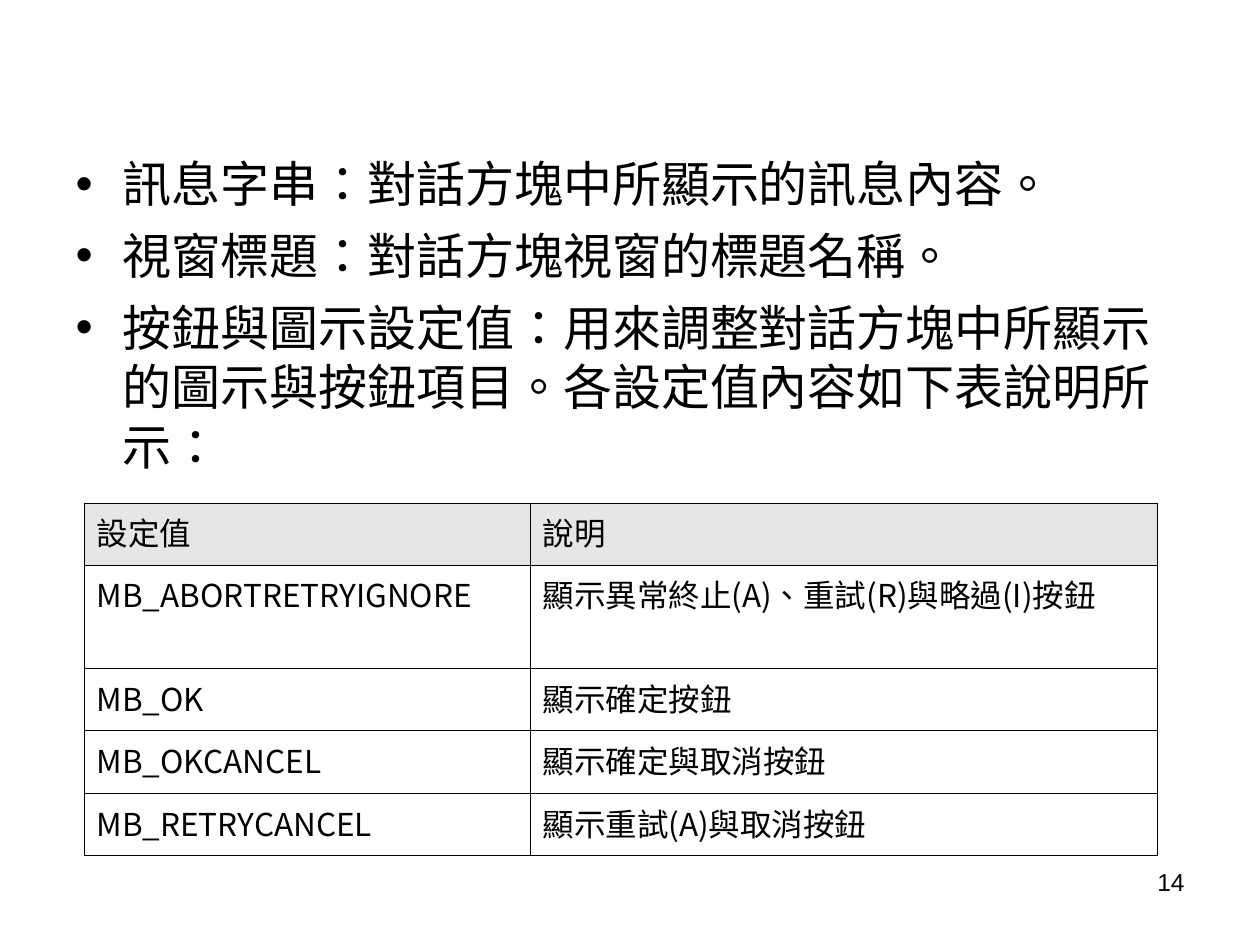
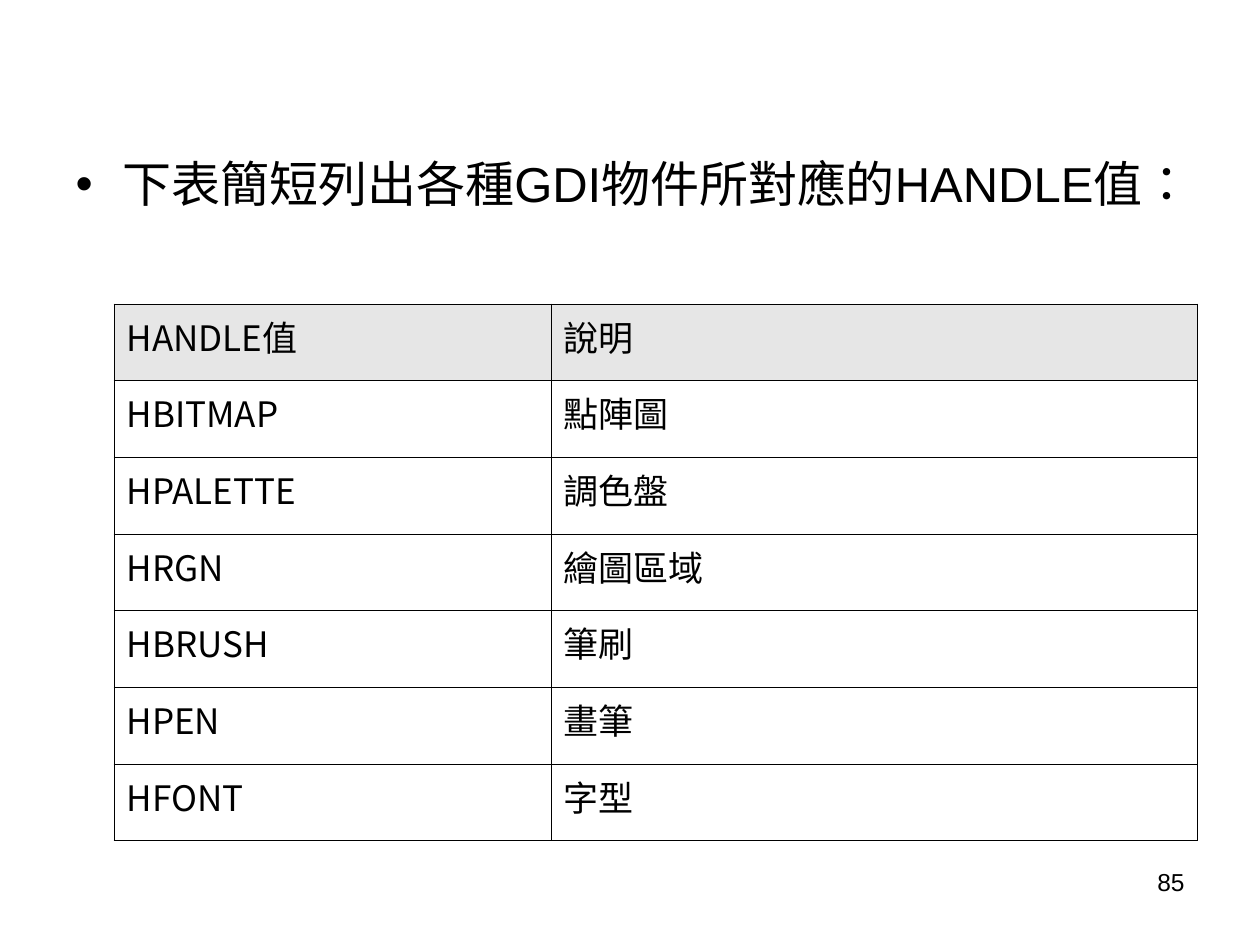
"""Build two slides, each with a bullet list above a table of settings."""
from lxml import etree
from pptx import Presentation
from pptx.dml.color import RGBColor
from pptx.enum.lang import MSO_LANGUAGE_ID
from pptx.enum.text import MSO_AUTO_SIZE, PP_ALIGN
from pptx.oxml.ns import qn
from pptx.util import Emu, Pt

SLIDES = [
    {
        "page": "14",
        "body": (63, 147, 1143, 693),
        "list": [
            "訊息字串：對話方塊中所顯示的訊息內容。",
            "視窗標題：對話方塊視窗的標題名稱。",
            "按鈕與圖示設定值：用來調整對話方塊中所顯示的圖示與按鈕項目。各設定值內容如下表說明所示：",
        ],
        "at": (84, 503),
        "cols": [446, 627],
        "rows": [62, 88, 62, 63, 62],
        "size": 18,
        "cells": [
            ("設定值", "說明"),
            ("MB_ABORTRETRYIGNORE", "顯示異常終止(A)、重試(R)與略過(I)按鈕"),
            ("MB_OK", "顯示確定按鈕"),
            ("MB_OKCANCEL", "顯示確定與取消按鈕"),
            ("MB_RETRYCANCEL", "顯示重試(A)與取消按鈕"),
        ],
    },
    {
        "page": "85",
        "body": (63, 147, 1123, 693),
        "list": ["下表簡短列出各種GDI物件所對應的HANDLE值："],
        "at": (114, 304),
        "cols": [437, 646],
        "rows": [537 / 7] * 7,
        "size": 20,
        "cells": [
            ("HANDLE值", "說明"),
            ("HBITMAP", "點陣圖"),
            ("HPALETTE", "調色盤"),
            ("HRGN", "繪圖區域"),
            ("HBRUSH", "筆刷"),
            ("HPEN", "畫筆"),
            ("HFONT", "字型"),
        ],
    },
]
PAGE = (903, 861, 294, 66)
WIDE, HIGH = 1260, 945
HANG = 47
SANS, CJK = "Arial", "Noto Sans CJK SC"
BLACK = RGBColor(0, 0, 0)
GREY = RGBColor(0xE6, 0xE6, 0xE6)
RIGHT = PP_ALIGN.RIGHT
FIXED = MSO_AUTO_SIZE.NONE
LANG = MSO_LANGUAGE_ID.TRADITIONAL_CHINESE
SIDES = ("a:lnL", "a:lnR", "a:lnT", "a:lnB")
RULE = Pt(0.45)


def px(num):
    return Emu(round(num * 914400 / 126))


def style(para, name, size):
    font = para.font
    font.name, font.size = name, Pt(size)
    font.color.rgb = BLACK
    font.language_id = LANG
    latin = para._p.pPr.find(qn("a:defRPr")).find(qn("a:latin"))
    east = etree.Element(qn("a:ea"), typeface=name)
    latin.addnext(east)


def border(cell):
    props = cell._tc.get_or_add_tcPr()
    for spot, side in enumerate(SIDES):
        line = etree.Element(qn(side), w=str(int(RULE)))
        fill = etree.SubElement(line, qn("a:solidFill"))
        etree.SubElement(fill, qn("a:srgbClr"), val=str(BLACK))
        props.insert(spot, line)


def add_list(slide, box, lines):
    body = slide.placeholders[1]
    body.left, body.top, body.width, body.height = map(px, box)
    frame = body.text_frame
    frame.auto_size = FIXED
    frame.text = "\n".join(lines)
    for num, para in enumerate(frame.paragraphs):
        para.space_before = Pt(7 if num else 0)
        para.line_spacing = Pt(34)
        style(para, SANS, 28)


def add_grid(slide, spec):
    cols, rows = spec["cols"], spec["rows"]
    size = (sum(cols), sum(rows))
    frame = slide.shapes.add_table(len(rows), len(cols), *map(px, spec["at"] + size))
    table = frame.table
    table.first_row = table.horz_banding = False
    for col, wide in zip(table.columns, cols):
        col.width = px(wide)
    for row, high in zip(table.rows, rows):
        row.height = px(high)
    for r, texts in enumerate(spec["cells"]):
        for c, text in enumerate(texts):
            cell = table.cell(r, c)
            cell.text = text
            if r:
                cell.fill.background()
            else:
                cell.fill.solid()
                cell.fill.fore_color.rgb = GREY
            border(cell)
            para = cell.text_frame.paragraphs[0]
            props = para._p.get_or_add_pPr()
            props.set("marL", str(px(HANG)))
            props.set("indent", str(-px(HANG)))
            style(para, CJK, spec["size"])


def add_page(slide, text):
    frame = slide.shapes.add_textbox(*map(px, PAGE)).text_frame
    frame.word_wrap = True
    frame.text = text
    para = frame.paragraphs[0]
    para.alignment = RIGHT
    style(para, SANS, 14)


def main():
    deck = Presentation()
    deck.slide_width, deck.slide_height = px(WIDE), px(HIGH)
    for spec in SLIDES:
        slide = deck.slides.add_slide(deck.slide_layouts[1])
        title = slide.shapes.title._element
        title.getparent().remove(title)
        add_list(slide, spec["body"], spec["list"])
        add_grid(slide, spec)
        add_page(slide, spec["page"])
    deck.save("out.pptx")


if __name__ == "__main__":
    main()
